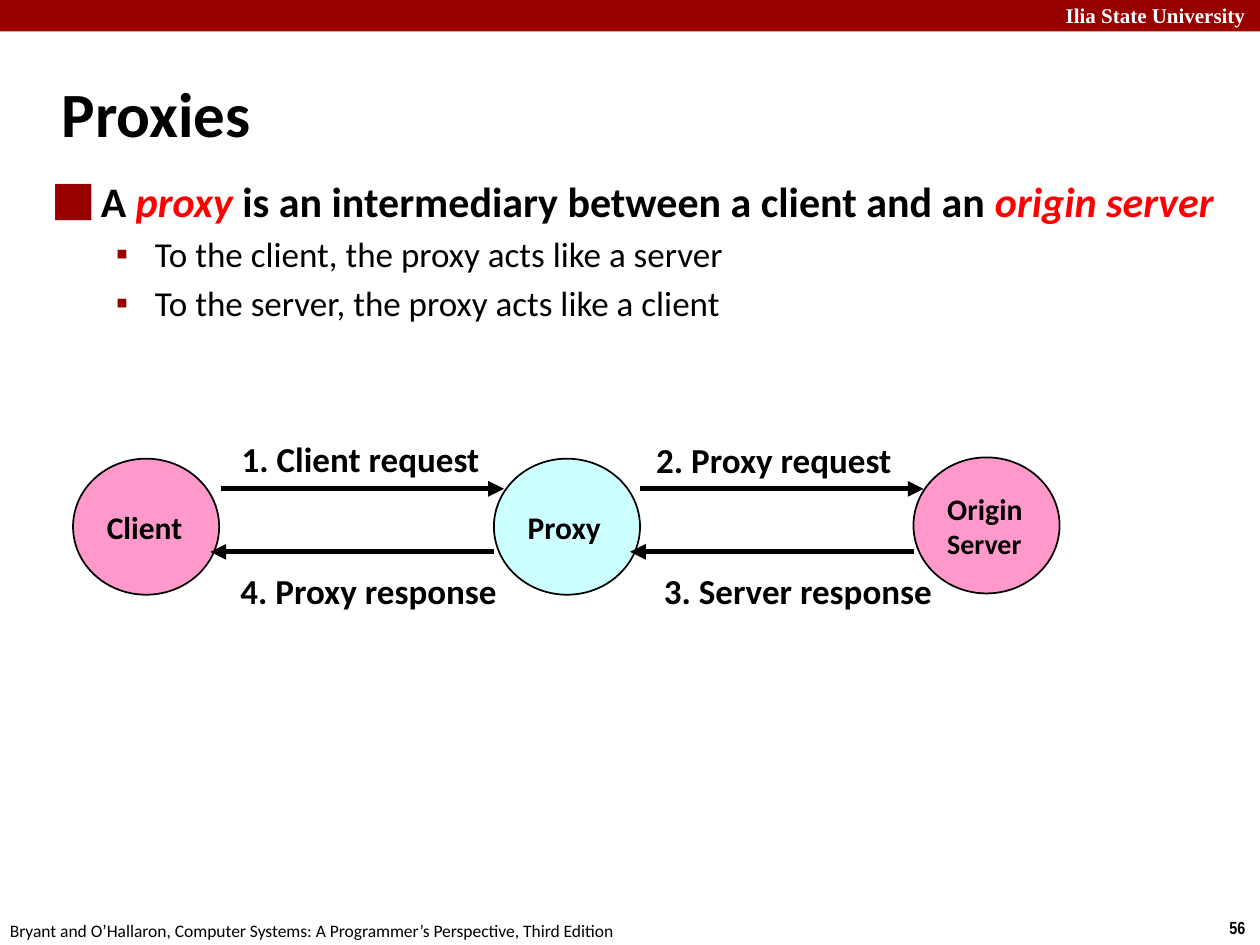
from dataclasses import dataclass

from pptx import Presentation
from pptx.dml.color import RGBColor
from pptx.enum.shapes import MSO_CONNECTOR, MSO_SHAPE
from pptx.enum.text import MSO_ANCHOR, MSO_AUTO_SIZE, PP_ALIGN
from pptx.oxml.ns import qn
from pptx.slide import Slide
from pptx.text.text import Font, _Paragraph
from pptx.util import Inches, Pt
from lxml.etree import SubElement


@dataclass(frozen=True)
class Theme:
    font: str = "Calibri"
    banner_font: str = "Times New Roman"
    number_font: str = "Arial Narrow"
    black: str = "000000"
    white: str = "FFFFFF"
    crimson: str = "990000"
    emphasis: str = "FF0000"
    pink: str = "FF99CC"
    cyan: str = "CCFFFF"
    title_size: int = 36
    heading_size: int = 24
    detail_size: int = 20
    node_size: int = 18
    banner_size: int = 12
    footer_size: int = 10


THEME = Theme()


@dataclass(frozen=True)
class Node:
    left: float
    top: float
    fill: str
    lines: tuple[tuple[str, int], ...]


@dataclass(frozen=True)
class Label:
    text: str
    left: float
    top: float
    width: float
    height: float = 0.44
    size: int = THEME.detail_size
    font: str = THEME.font
    color: str = THEME.black
    bold: bool = True


@dataclass(frozen=True)
class Arrow:
    start: float
    end: float
    height: float


NODE_WIDTH, NODE_HEIGHT = 1.16, 1.08
REQUEST_HEIGHT, RESPONSE_HEIGHT = 3.88, 4.38

NODES = (
    Node(0.58, 3.64, THEME.pink, (("Client", THEME.node_size),)),
    Node(3.92, 3.64, THEME.cyan, (("Proxy", THEME.node_size),)),
    Node(7.25, 3.63, THEME.pink, (("Origin", 17), ("Server", 16))),
)
ARROWS = (
    Arrow(1.75, 4, REQUEST_HEIGHT),
    Arrow(5.08, 7.33, REQUEST_HEIGHT),
    Arrow(7.25, 5, RESPONSE_HEIGHT),
    Arrow(3.92, 1.67, RESPONSE_HEIGHT),
)
MESSAGES = (
    Label("1. Client request", 1.82, 3.42, 2.11),
    Label("2. Proxy request", 5.11, 3.43, 2.1),
    Label("3. Server response", 5.17, 4.47, 2.35),
    Label("4. Proxy response", 1.81, 4.47, 2.27),
)
PAGE_LABELS = (
    Label("Ilia State University", 8.36, -0.03, 1.71, 0.3,
          THEME.banner_size, THEME.banner_font, THEME.white),
    Label("56", 9.66, 7.23, 0.34, 0.27, THEME.footer_size, THEME.number_font),
    Label("Bryant and O’Hallaron, Computer Systems: A Programmer’s Perspective, Third Edition",
          -0.02, 7.25, 5.08, 0.27, THEME.footer_size, bold=False),
)
HEADING = (
    ("A ", False),
    ("proxy ", True),
    ("is an intermediary between a client and an ", False),
    ("origin server", True),
)
DETAILS = (
    "To the client, the proxy acts like a server",
    "To the server, the proxy acts like a client",
)


def style_font(font: Font, size: int, bold: bool = True,
               color: str = THEME.black, name: str = THEME.font) -> None:
    font.name, font.size, font.bold = name, Pt(size), bold
    font.color.rgb = RGBColor.from_string(color)


def set_indent(paragraph: _Paragraph, margin: float, hanging: float) -> None:
    properties = paragraph._p.get_or_add_pPr()
    properties.set("marL", str(Inches(margin)))
    properties.set("indent", str(-Inches(hanging)))


def add_bullet(paragraph: _Paragraph, character: str) -> None:
    properties = paragraph._p.get_or_add_pPr()
    color = SubElement(properties, qn("a:buClr"))
    SubElement(color, qn("a:srgbClr"), val=THEME.crimson)
    SubElement(properties, qn("a:buChar"), char=character)


def add_banner(slide: Slide) -> None:
    banner = slide.shapes.add_shape(MSO_SHAPE.RECTANGLE, 0, 0, Inches(10), Inches(0.25))
    banner.shadow.inherit = False
    banner.fill.solid()
    banner.fill.fore_color.rgb = RGBColor.from_string(THEME.crimson)
    banner.line.fill.background()


def add_label(slide: Slide, label: Label) -> None:
    box = slide.shapes.add_textbox(Inches(label.left), Inches(label.top),
                                   Inches(label.width), Inches(label.height))
    box.text_frame.word_wrap = False
    paragraph = box.text_frame.paragraphs[0]
    paragraph.text = label.text
    style_font(paragraph.font, label.size, label.bold, label.color, label.font)


def add_node(slide: Slide, node: Node) -> None:
    ellipse = slide.shapes.add_shape(MSO_SHAPE.OVAL, Inches(node.left), Inches(node.top),
                                     Inches(NODE_WIDTH), Inches(NODE_HEIGHT))
    ellipse.shadow.inherit = False
    ellipse.fill.solid()
    ellipse.fill.fore_color.rgb = RGBColor.from_string(node.fill)
    ellipse.line.color.rgb = RGBColor.from_string(THEME.black)
    ellipse.line.width = Pt(1)
    frame = ellipse.text_frame
    frame.vertical_anchor = MSO_ANCHOR.MIDDLE
    frame.text = "\n".join(text for text, _ in node.lines)
    for paragraph, (_, size) in zip(frame.paragraphs, node.lines):
        paragraph.alignment = PP_ALIGN.LEFT
        style_font(paragraph.font, size)


def add_arrow(slide: Slide, arrow: Arrow) -> None:
    height = Inches(arrow.height)
    connector = slide.shapes.add_connector(
        MSO_CONNECTOR.STRAIGHT, Inches(arrow.start), height, Inches(arrow.end), height)
    connector.line.color.rgb = RGBColor.from_string(THEME.black)
    connector.line.width = Pt(3)
    SubElement(connector.line._get_or_add_ln(), qn("a:tailEnd"), type="triangle")
    SubElement(connector._element.spPr, qn("a:effectLst"))


def fill_title(slide: Slide) -> None:
    title = slide.shapes.title
    title.left, title.top, title.width, title.height = map(Inches, (0.39, 0.48, 8.3, 0.83))
    title.text_frame.vertical_anchor = MSO_ANCHOR.MIDDLE
    title.text_frame.auto_size = MSO_AUTO_SIZE.NONE
    title.text = "Proxies"
    paragraph = title.text_frame.paragraphs[0]
    paragraph.alignment = PP_ALIGN.LEFT
    set_indent(paragraph, 0.13, 0.13)
    style_font(paragraph.font, THEME.title_size)


def fill_body(slide: Slide) -> None:
    body = slide.placeholders[1]
    body.left, body.top, body.width, body.height = map(Inches, (0.32, 1.34, 9.52, 4.33))
    frame = body.text_frame
    frame.auto_size = MSO_AUTO_SIZE.NONE
    heading = frame.paragraphs[0]
    heading.space_before = Pt(0)
    set_indent(heading, 0.38, 0.38)
    add_bullet(heading, "⬛")
    for text, emphasized in HEADING:
        run = heading.add_run()
        run.text = text
        style_font(run.font, THEME.heading_size,
                   color=THEME.emphasis if emphasized else THEME.black)
        run.font.italic = emphasized
    for text in DETAILS:
        paragraph = frame.add_paragraph()
        paragraph.text = text
        paragraph.level = 1
        paragraph.space_before = Pt(4)
        set_indent(paragraph, 0.81, 0.31)
        add_bullet(paragraph, "▪")
        style_font(paragraph.font, THEME.detail_size, bold=False)


def main() -> None:
    presentation = Presentation()
    presentation.slide_width, presentation.slide_height = Inches(10), Inches(7.5)
    slide = presentation.slides.add_slide(presentation.slide_layouts[1])
    add_banner(slide)
    for label in PAGE_LABELS:
        add_label(slide, label)
    fill_title(slide)
    fill_body(slide)
    for node in NODES:
        add_node(slide, node)
    for arrow in ARROWS:
        add_arrow(slide, arrow)
    for message in MESSAGES:
        add_label(slide, message)
    presentation.save("out.pptx")


if __name__ == "__main__":
    main()
